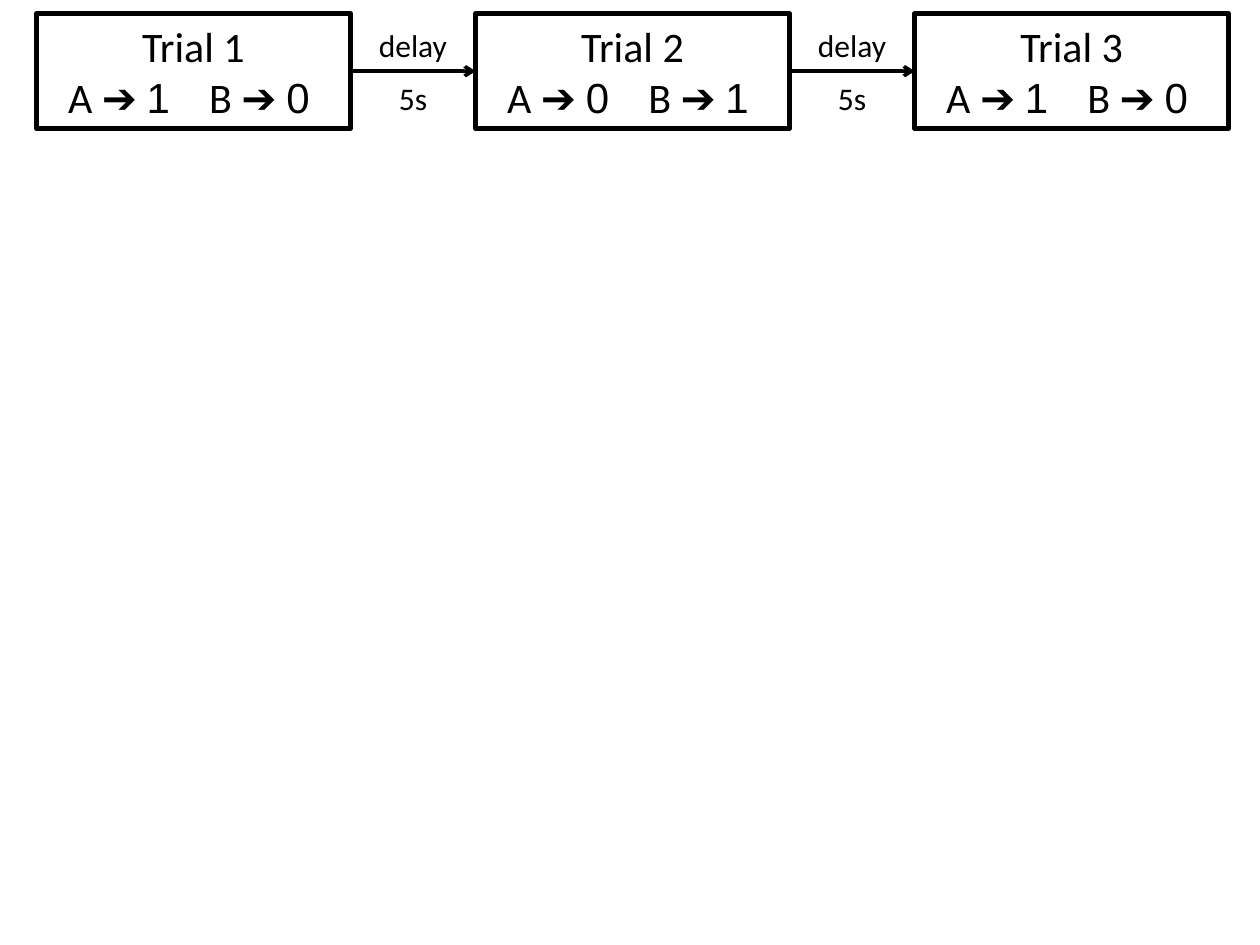
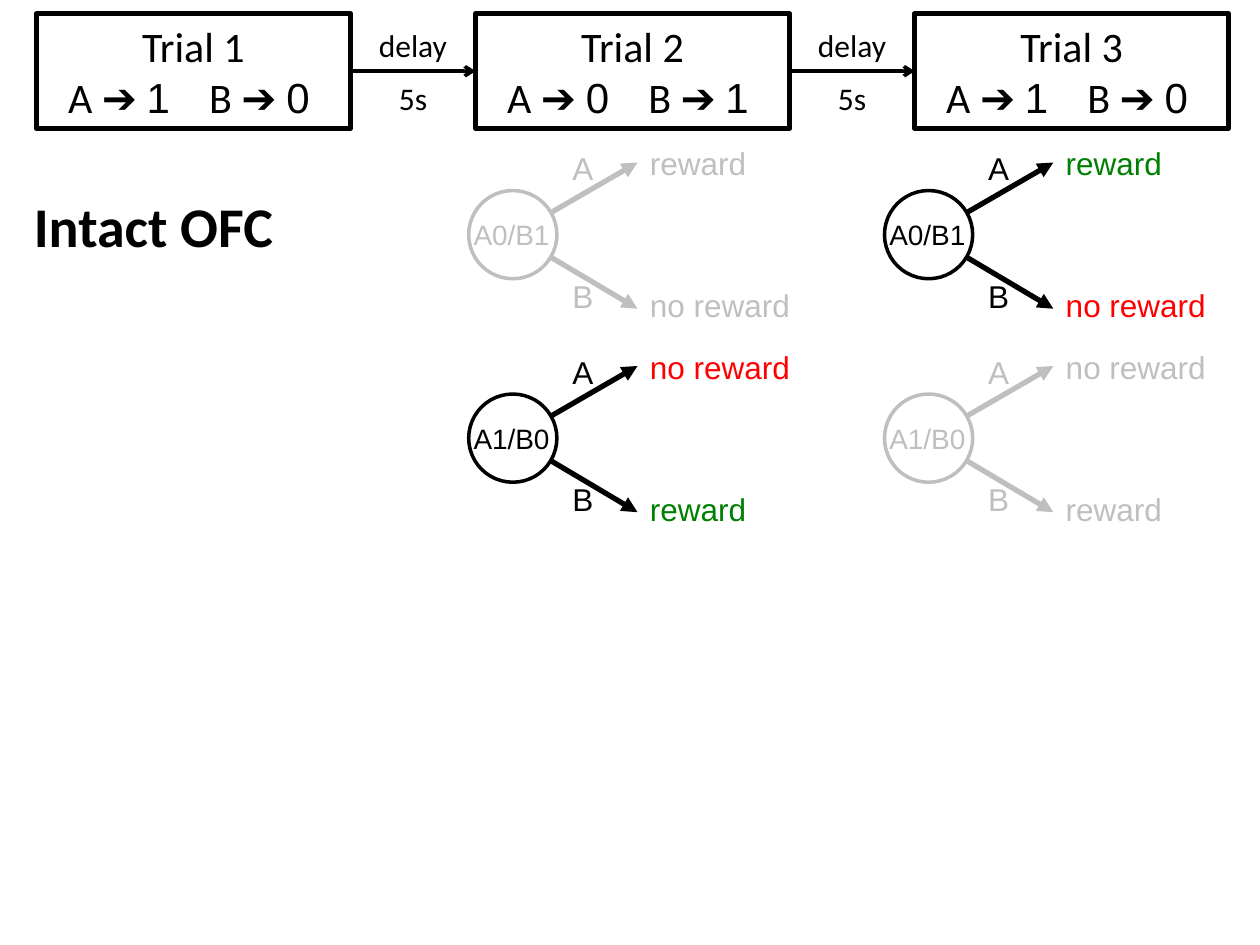
from dataclasses import dataclass

from lxml import etree
from pptx import Presentation
from pptx.dml.color import RGBColor
from pptx.enum.shapes import MSO_CONNECTOR, MSO_SHAPE
from pptx.enum.text import MSO_ANCHOR, PP_ALIGN
from pptx.oxml.ns import qn
from pptx.util import Inches, Pt

RECT, OVAL = MSO_SHAPE.RECTANGLE, MSO_SHAPE.OVAL
LINE = MSO_CONNECTOR.STRAIGHT
MIDDLE = MSO_ANCHOR.MIDDLE
LEFT, CENTER = PP_ALIGN.LEFT, PP_ALIGN.CENTER
COLS = 100
ROWS = 75
WIDTH = Inches(10)
UNIT = WIDTH // COLS


@dataclass(frozen=True)
class Theme:
    """Hold the colours, fonts, type sizes and line weights."""
    ink: str = "000000"
    faint: str = "BFBFBF"
    paper: str = "FFFFFF"
    good: str = "008000"
    bad: str = "FF0000"
    sans: str = "Arial"
    main: str = "Calibri"
    head: int = 32
    trial: int = 24
    label: int = 18
    state: int = 16
    thick: int = 3
    thin: int = 2


THEME = Theme()
TRIALS = [("Trial 1", "1", "0"), ("Trial 2", "0", "1"), ("Trial 3", "1", "0")]
REWARD = {"A0/B1": ("reward", "no reward"), "A1/B0": ("no reward", "reward")}
HUES = {"reward": THEME.good, "no reward": THEME.bad}


def grid(*cells):
    """Turn grid cells into slide lengths."""
    return [round(cell * UNIT) for cell in cells]


def style(font, name, size, color, bold=False):
    """Set the look of a font."""
    for key, value in {"name": name, "size": Pt(size), "bold": bold}.items():
        setattr(font, key, value)
    font.color.rgb = RGBColor.from_string(color)


def fit(frame, side=1, top=0.5):
    """Set wrapping, anchor and margins of a text frame."""
    side, top = grid(side, top)
    form = {"word_wrap": True, "vertical_anchor": MIDDLE,
            "margin_left": side, "margin_right": side,
            "margin_top": top, "margin_bottom": top}
    for key, value in form.items():
        setattr(frame, key, value)


def write(slide, box, text, size, name, color=THEME.ink, align=CENTER,
          side=1, bold=False):
    """Add a one-line text box."""
    frame = slide.shapes.add_textbox(*grid(*box)).text_frame
    fit(frame, side)
    para = frame.paragraphs[0]
    para.alignment = align
    run = para.add_run()
    run.text = text
    style(run.font, name, size, color, bold)


def outline(slide, kind, box, color, weight, fill=None):
    """Add an outlined shape, filled when a fill is given."""
    shape = slide.shapes.add_shape(kind, *grid(*box))
    shape.shadow.inherit = False
    if fill:
        shape.fill.solid()
        shape.fill.fore_color.rgb = RGBColor.from_string(fill)
    else:
        shape.fill.background()
    shape.line.color.rgb = RGBColor.from_string(color)
    shape.line.width = Pt(weight)
    return shape


def arrow(slide, start, end, color, weight, head):
    """Add a straight line with an arrowhead at its end."""
    line = slide.shapes.add_connector(LINE, *grid(*start, *end))
    line.line.color.rgb = RGBColor.from_string(color)
    line.line.width = Pt(weight)
    etree.SubElement(line.line._get_or_add_ln(), qn("a:tailEnd"), type=head)
    etree.SubElement(line._element.spPr, qn("a:effectLst"))
    return line


def card(slide, box, title, first, second):
    """Add a trial box with its title and the payoff of A and B."""
    shape = outline(slide, RECT, box, THEME.ink, THEME.thick)
    frame = shape.text_frame
    fit(frame, side=2.5)
    para = frame.paragraphs[0]
    para.alignment = CENTER
    run = para.add_run()
    run.text = title
    style(run.font, THEME.main, THEME.trial, THEME.ink)
    para = frame.add_paragraph()
    para.alignment = LEFT
    tabs = etree.SubElement(para._p.get_or_add_pPr(), qn("a:tabLst"))
    etree.SubElement(tabs, qn("a:tab"), pos=str(grid(11.2)[0]), algn="l")
    parts = [("A ➔ ", THEME.main), (first, THEME.sans),
             ("\tB ➔ ", THEME.main), (second, THEME.sans)]
    for text, name in parts:
        run = para.add_run()
        run.text = text
        style(run.font, name, THEME.trial, THEME.ink)
    return shape


def band(slide, box):
    """Add the row of trials joined by delay arrows."""
    left, top, wide, high = box
    size, gap = 24.9, 9.95
    step = (wide - size) / (len(TRIALS) - 1)
    cards = [card(slide, (left + step * i, top, size, high), *trial)
             for i, trial in enumerate(TRIALS)]
    mid = top + high / 2
    for i, (old, new) in enumerate(zip(cards, cards[1:])):
        x = left + step * i + size
        link = arrow(slide, (x, mid), (x + gap, mid),
                     THEME.ink, THEME.thin, "arrow")
        link.begin_connect(old, 3)
        link.end_connect(new, 1)
        for text, y in (("delay", 0.5), ("5s", 4.7)):
            write(slide, (x, top + y, gap, 4), text, THEME.label, THEME.main)


def tree(slide, box, state, live):
    """Add a state with its two choices and their outcomes."""
    left, top, wide, high = box
    color = THEME.ink if live else THEME.faint
    mid, fork = top + high / 2, left + 14.6
    limbs = zip("AB", REWARD[state], (0.4, 10.5), (1.7, 13.3), (0, 11.25))
    for name, result, sign, tip, row in limbs:
        write(slide, (left + 8.5, top + sign, 3.5, 3.5), name,
              THEME.label, THEME.sans, color, side=0)
        arrow(slide, (left + 4.7, mid), (fork, top + tip),
              color, THEME.thick, "triangle")
        write(slide, (fork, top + row, wide - 14.6, 3.5), result,
              THEME.label, THEME.sans, HUES[result] if live else color, LEFT)
    outline(slide, OVAL, (left + 1.2, mid - 3.5, 7, 7), color,
            THEME.thin, THEME.paper)
    write(slide, (left, mid - 3.5, 9.2, 7), state,
          THEME.state, THEME.sans, color)


def forest(slide, box):
    """Add the grid of states by trial, with one live state in each."""
    left, top, wide, high = box
    for col in range(2):
        for row, state in enumerate(REWARD):
            cell = (left + 33 * col, top + 16.15 * row, wide - 33, high - 16.15)
            tree(slide, cell, state, live=row != col)


def main():
    """Build both slides and save them."""
    deck = Presentation()
    deck.slide_width, deck.slide_height = grid(COLS, ROWS)
    first, second = [deck.slides.add_slide(deck.slide_layouts[6])
                     for _ in range(2)]
    for slide in (first, second):
        band(slide, (2.9, 1.1, 94.6, 9.1))
    forest(second, (36, 11.2, 61.5, 31))
    write(second, (1.7, 14.7, 32.4, 6.4), "Intact OFC", THEME.head,
          THEME.main, align=LEFT, bold=True)
    deck.save("out.pptx")


if __name__ == "__main__":
    main()
